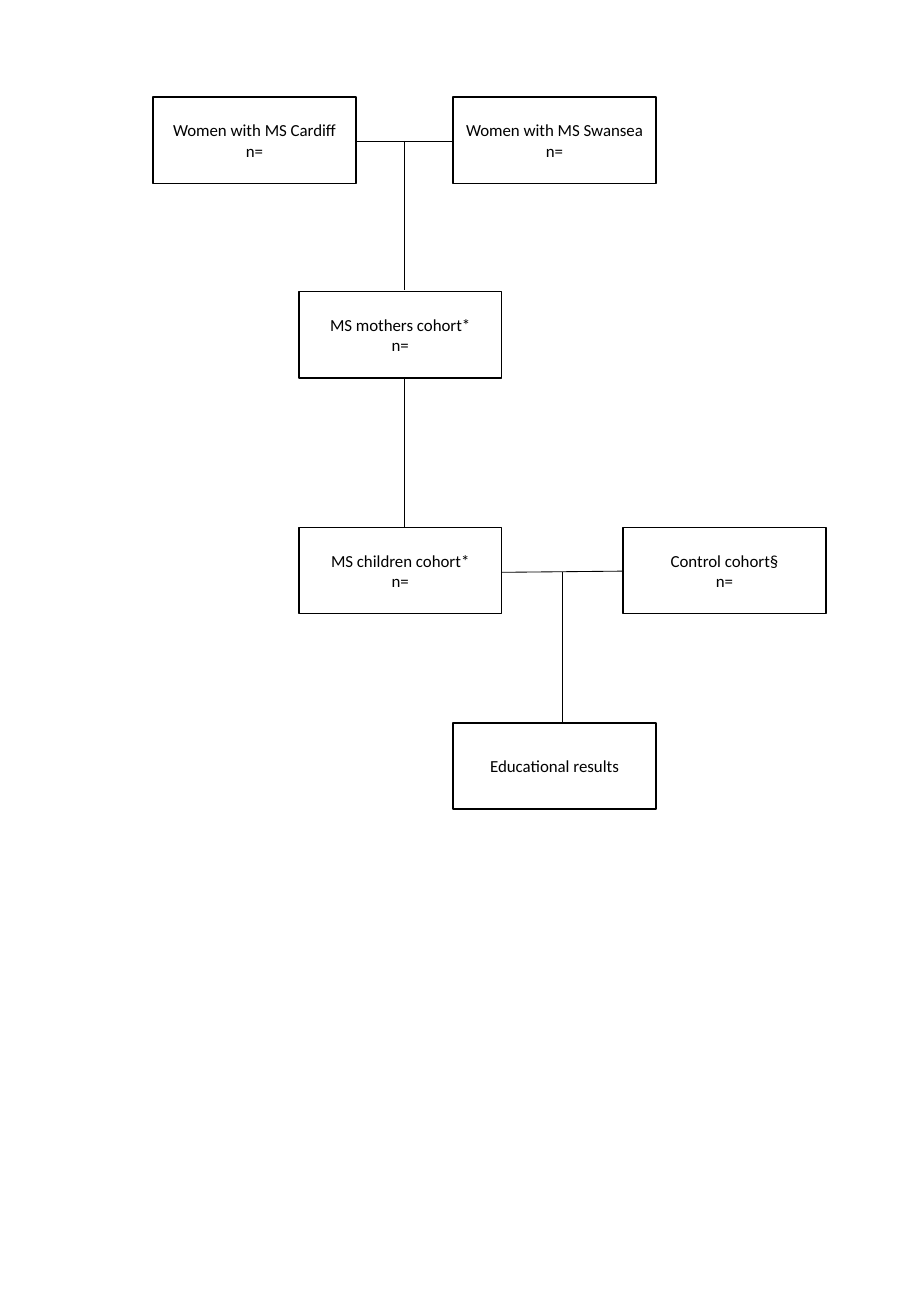
from dataclasses import dataclass

from lxml import etree
from pptx import Presentation
from pptx.dml.color import RGBColor
from pptx.enum.shapes import MSO_CONNECTOR, MSO_SHAPE
from pptx.enum.text import MSO_ANCHOR, PP_ALIGN
from pptx.oxml.ns import qn
from pptx.shapes.autoshape import Shape
from pptx.slide import Slide
from pptx.util import Inches, Pt

RECTANGLE = MSO_SHAPE.RECTANGLE
STRAIGHT = MSO_CONNECTOR.STRAIGHT
MIDDLE = MSO_ANCHOR.MIDDLE
CENTER = PP_ALIGN.CENTER


@dataclass(frozen=True)
class Theme:
    ink: RGBColor = RGBColor(0, 0, 0)
    font: str = "Calibri"
    text_size: float = 10
    border: float = 1
    link: float = 0.5


@dataclass(frozen=True)
class Stage:
    label: str
    left: float
    top: float


@dataclass(frozen=True)
class Link:
    x1: float
    y1: float
    x2: float
    y2: float


THEME = Theme()
STAGE_WIDTH, STAGE_HEIGHT = 1.67, 0.71
SOURCE_TOP, MOTHERS_TOP, CHILDREN_TOP, RESULTS_TOP = 0.8, 2.4, 4.34, 5.95
CARDIFF_LEFT, COHORT_LEFT, SWANSEA_LEFT, CONTROL_LEFT = 1.26, 2.46, 3.73, 5.13
SOURCE_LINK_Y, COHORT_LINK_Y = 1.16, 4.71
COHORT_RIGHT = COHORT_LEFT + STAGE_WIDTH
MOTHERS_X = (CARDIFF_LEFT + STAGE_WIDTH + SWANSEA_LEFT) / 2
RESULTS_X = (COHORT_RIGHT + CONTROL_LEFT) / 2

STAGES = [
    Stage("Women with MS Cardiff\nn=", CARDIFF_LEFT, SOURCE_TOP),
    Stage("Women with MS Swansea\nn=", SWANSEA_LEFT, SOURCE_TOP),
    Stage("MS mothers cohort*\nn=", COHORT_LEFT, MOTHERS_TOP),
    Stage("MS children cohort*\nn=", COHORT_LEFT, CHILDREN_TOP),
    Stage("Control cohort§\nn=", CONTROL_LEFT, CHILDREN_TOP),
    Stage("Educational results", SWANSEA_LEFT, RESULTS_TOP),
]
LINKS = [
    Link(CARDIFF_LEFT + STAGE_WIDTH, SOURCE_LINK_Y, SWANSEA_LEFT, SOURCE_LINK_Y),
    Link(MOTHERS_X, SOURCE_LINK_Y, MOTHERS_X, MOTHERS_TOP - 0.01),
    Link(MOTHERS_X, MOTHERS_TOP + STAGE_HEIGHT, MOTHERS_X, CHILDREN_TOP),
    Link(COHORT_RIGHT, COHORT_LINK_Y, CONTROL_LEFT, COHORT_LINK_Y - 0.01),
    Link(RESULTS_X, COHORT_LINK_Y, RESULTS_X, RESULTS_TOP - 0.01),
]


def write_text(holder: Shape, text: str, *, size: float, color: RGBColor,
               font: str = THEME.font, align: PP_ALIGN = CENTER) -> None:
    frame = holder.text_frame
    frame.word_wrap = True
    frame.vertical_anchor = MIDDLE
    paragraph = frame.paragraphs[0]
    paragraph.text = text
    paragraph.alignment = align
    for run in paragraph.runs:
        run.font.size = Pt(size)
        run.font.name = font
        run.font.color.rgb = color


def draw_stage(slide: Slide, stage: Stage) -> None:
    box = slide.shapes.add_shape(RECTANGLE, Inches(stage.left), Inches(stage.top),
                                 Inches(STAGE_WIDTH), Inches(STAGE_HEIGHT))
    box.shadow.inherit = False
    box.fill.background()
    box.line.color.rgb = THEME.ink
    box.line.width = Pt(THEME.border)
    write_text(box, stage.label, size=THEME.text_size, color=THEME.ink)


def draw_link(slide: Slide, link: Link) -> None:
    line = slide.shapes.add_connector(STRAIGHT, Inches(link.x1), Inches(link.y1),
                                      Inches(link.x2), Inches(link.y2))
    line.line.color.rgb = THEME.ink
    line.line.width = Pt(THEME.link)
    etree.SubElement(line._element.spPr, qn("a:effectLst"))


presentation = Presentation()
presentation.slide_width = Inches(7.5)
presentation.slide_height = Inches(10.83)
flowchart = presentation.slides.add_slide(presentation.slide_layouts[6])
for cohort_stage in STAGES:
    draw_stage(flowchart, cohort_stage)
for cohort_link in LINKS:
    draw_link(flowchart, cohort_link)
presentation.save("out.pptx")
